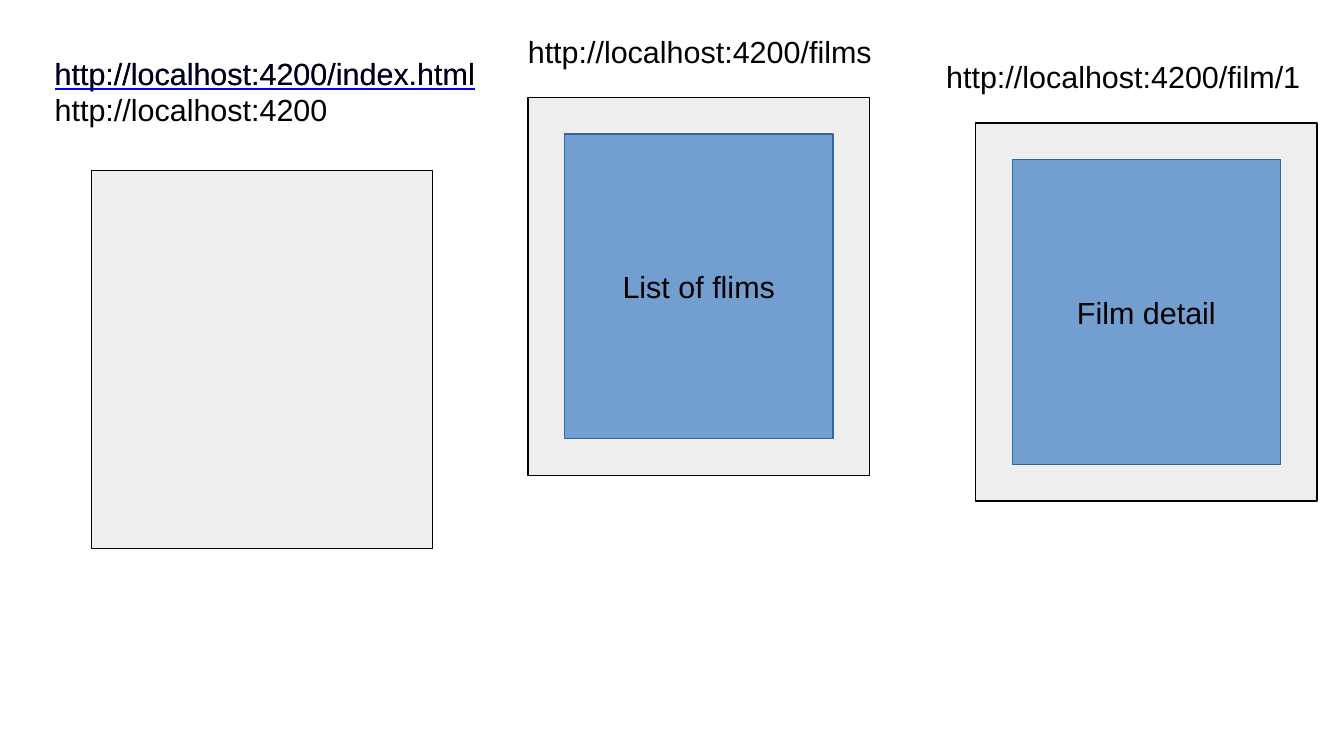
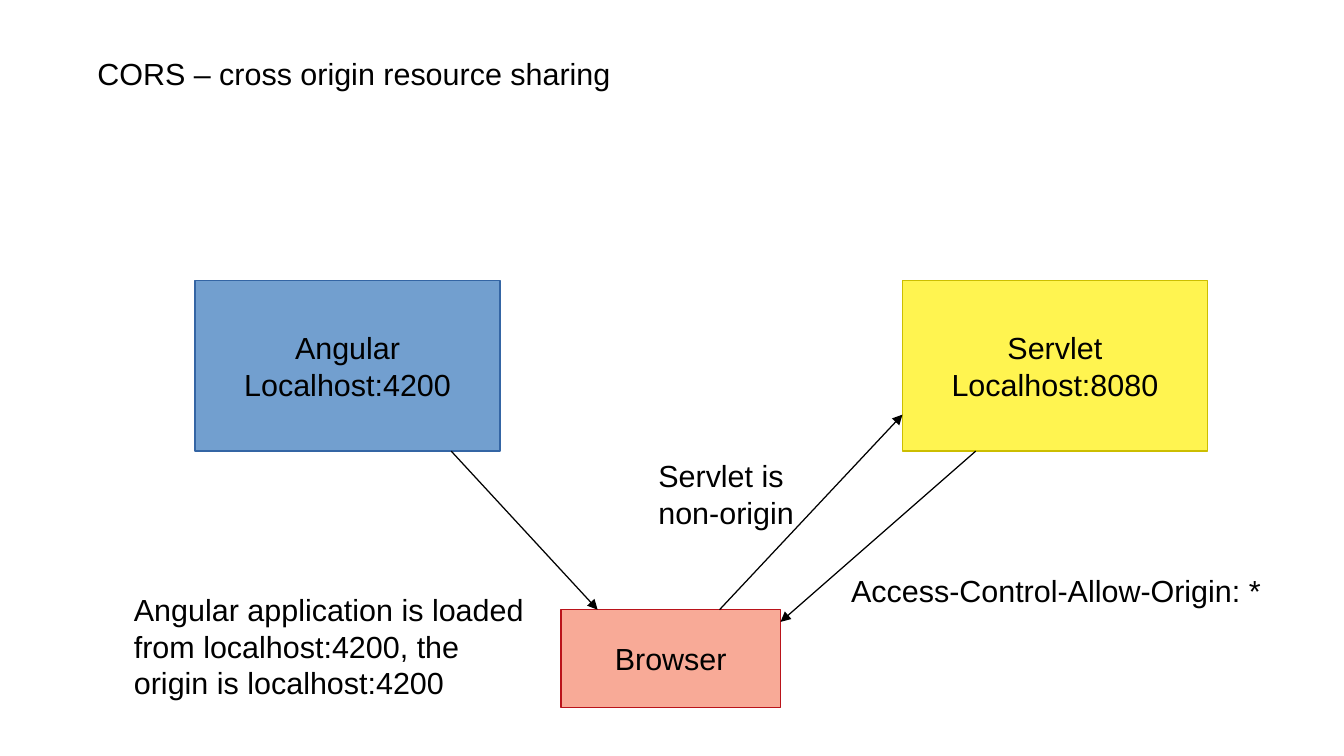
import pptx
import pptx.util
import pptx.dml.color
import pptx.enum.shapes
import pptx.enum.text
import pptx.oxml.ns
import lxml.etree

Inches = pptx.util.Inches
RGBColor = pptx.dml.color.RGBColor

BLACK = RGBColor(0x00, 0x00, 0x00)
LINK = RGBColor(0x00, 0x00, 0xFF)
GREY = RGBColor(0xEE, 0xEE, 0xEE)
BLUE = RGBColor(0x72, 0x9F, 0xCF)
NAVY = RGBColor(0x34, 0x65, 0xA4)
YELLOW = RGBColor(0xFF, 0xF4, 0x50)
OLIVE = RGBColor(0xCC, 0xBE, 0x00)
SALMON = RGBColor(0xF8, 0xAA, 0x97)
RED = RGBColor(0xBA, 0x13, 0x1A)


class Deck:
    font = "Arial"
    size = pptx.util.Pt(18)
    stroke = pptx.util.Pt(0.75)

    def __init__(self, width, height):
        self.show = pptx.Presentation()
        self.show.slide_width = Inches(width)
        self.show.slide_height = Inches(height)
        self.slide = None

    def page(self):
        self.slide = self.show.slides.add_slide(self.show.slide_layouts[6])

    def style(self, frame, text, align):
        frame.text = text
        for para in frame.paragraphs:
            para.alignment = align
            for run in para.runs:
                run.font.name = self.font
                run.font.size = self.size
                run.font.color.rgb = BLACK

    def label(self, left, top, width, height, text):
        box = self.slide.shapes.add_textbox(*map(Inches, (left, top, width, height)))
        box.text_frame.word_wrap = True
        self.style(box.text_frame, text, pptx.enum.text.PP_ALIGN.LEFT)
        return box.text_frame

    def box(self, left, top, width, height, fill, edge, text=""):
        rect = self.slide.shapes.add_shape(
            pptx.enum.shapes.MSO_SHAPE.RECTANGLE,
            *map(Inches, (left, top, width, height)))
        rect.shadow.inherit = False
        rect.fill.solid()
        rect.fill.fore_color.rgb = fill
        rect.line.color.rgb = edge
        rect.line.width = self.stroke
        if text:
            frame = rect.text_frame
            frame.word_wrap = False
            frame.vertical_anchor = pptx.enum.text.MSO_ANCHOR.MIDDLE
            self.style(frame, text, pptx.enum.text.PP_ALIGN.CENTER)

    def window(self, left, top, view=""):
        width, height, inset = 2.8, 3.1, 0.3
        self.box(left, top, width, height, GREY, BLACK)
        if view:
            self.box(left + inset, top + inset, width - 2 * inset,
                     height - 2 * inset, BLUE, NAVY, view)

    def arrow(self, start, end):
        line = self.slide.shapes.add_connector(
            pptx.enum.shapes.MSO_CONNECTOR.STRAIGHT, *map(Inches, start + end))
        line.line.color.rgb = BLACK
        line.line.width = self.stroke
        qn = pptx.oxml.ns.qn
        props = line._element.spPr
        tip = lxml.etree.SubElement(props.find(qn("a:ln")), qn("a:tailEnd"))
        tip.set("type", "triangle")
        lxml.etree.SubElement(props, qn("a:effectLst"))


def routes(deck):
    deck.page()
    index = "http://localhost:4200/index.html"
    place = (0.35, 0.4, 3.8, 0.38)
    deck.window(0.75, 1.4)
    frame = deck.label(*place, index + "\nhttp://localhost:4200")
    link = frame.paragraphs[0].runs[0].font
    link.color.rgb = LINK
    link.underline = True
    for left, top, shift, url, view in (
            (4.33, 0.8, 0.1, "films", "List of flims"),
            (8, 1.01, 0.34, "film/1", "Film detail")):
        deck.label(left - shift, top - 0.58, 3.2, 0.38, "http://localhost:4200/" + url)
        deck.window(left, top, view)
    deck.label(*place, index)


def cors(deck):
    deck.page()
    deck.label(0.7, 0.4, 9.7, 0.38, "CORS – cross origin resource sharing")
    deck.box(1.6, 2.3, 2.5, 1.4, BLUE, NAVY, "Angular\nLocalhost:4200")
    deck.box(7.4, 2.3, 2.5, 1.4, YELLOW, OLIVE, "Servlet\nLocalhost:8080")
    deck.box(4.6, 5, 1.8, 0.8, SALMON, RED, "Browser")
    for start, end in (((3.7, 3.7), (4.9, 5)),
                       ((5.9, 5), (7.4, 3.4)),
                       ((8, 3.7), (6.4, 5.1))):
        deck.arrow(start, end)
    deck.label(1, 4.8, 3.4, 0.94, "Angular application is loaded from "
               "localhost:4200, the origin is localhost:4200")
    deck.label(5.3, 3.7, 1.4, 0.66, "Servlet is non-origin")
    deck.label(6.88, 4.64, 3.82, 0.66, "Access-Control-Allow-Origin: *")


def main():
    deck = Deck(11.02, 6.2)
    routes(deck)
    cors(deck)
    deck.show.save("out.pptx")


if __name__ == "__main__":
    main()
